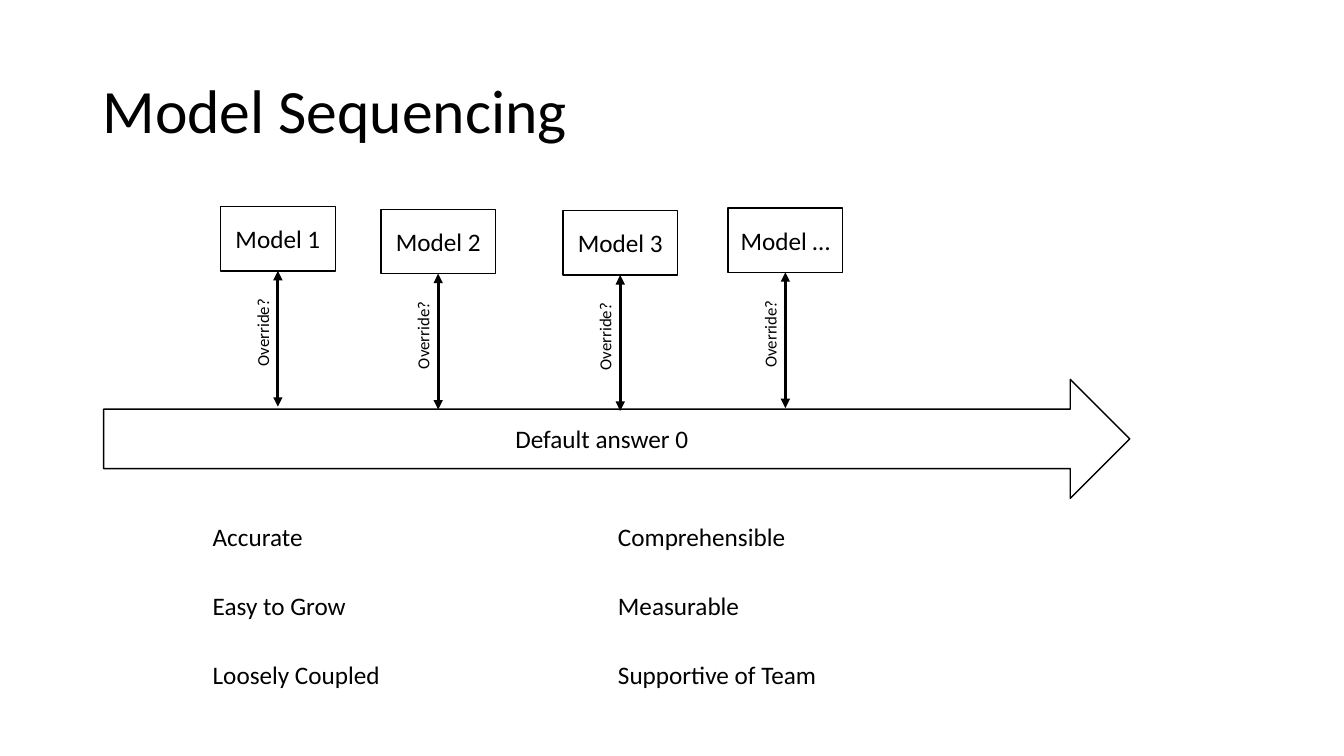
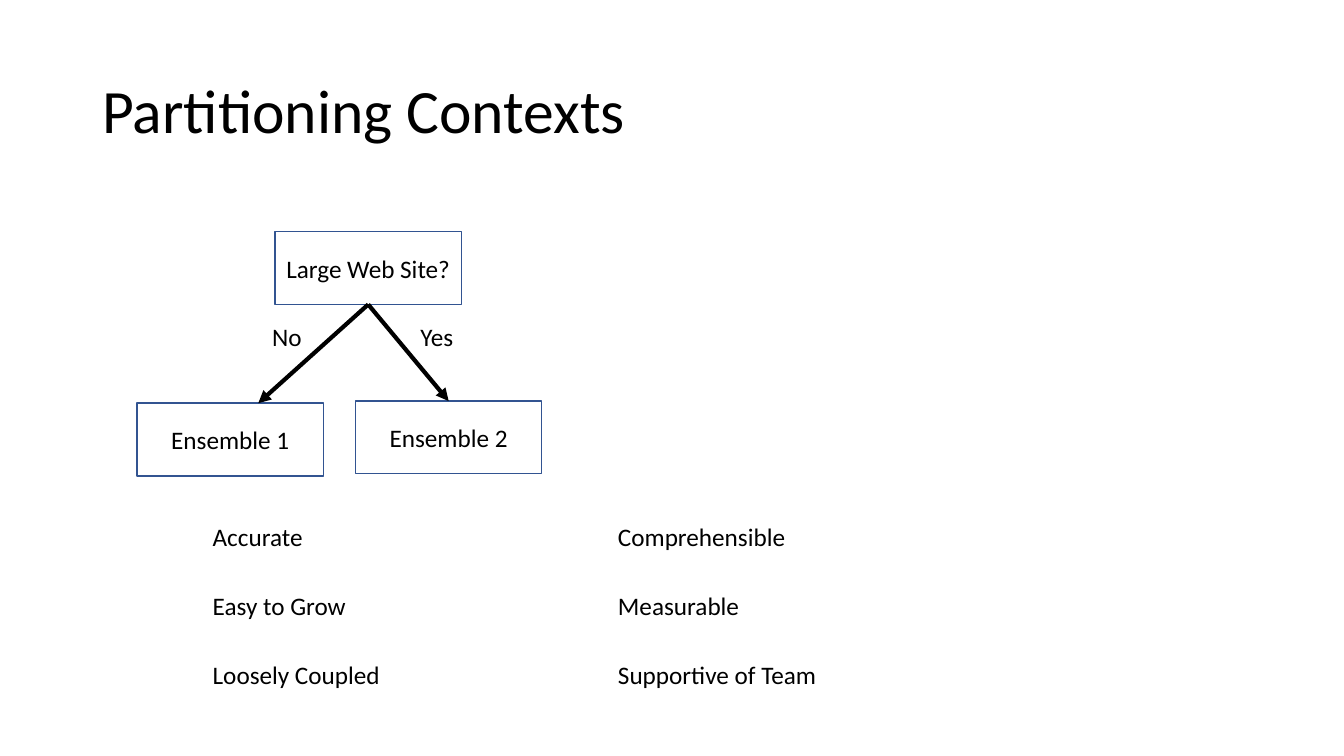
from lxml.etree import SubElement
from pptx import Presentation
from pptx.dml.color import RGBColor
from pptx.enum.shapes import MSO_CONNECTOR, MSO_SHAPE
from pptx.enum.text import MSO_ANCHOR, MSO_AUTO_SIZE, PP_ALIGN
from pptx.oxml.ns import qn
from pptx.util import Pt

# Shared style
FONT = "Calibri"
BLACK, WHITE, BLUE = "000000", "FFFFFF", "325491"
TITLE_SIZE, TEXT_SIZE, LABEL_SIZE = 44, 18, 12
TWO_CONTENT_LAYOUT = 3
TOP, BOTTOM = 0, 2

# Shared lists: placeholder index, left edge, entries
GOALS = [
    (1, 144.7, ["Accurate", "Easy to Grow", "Loosely Coupled"]),
    (2, 434.2, ["Comprehensible", "Measurable", "Supportive of Team"]),
]


def color(hex_value):
    return RGBColor.from_string(hex_value)


def place(shape, left, top, width, height):
    shape.left, shape.top = Pt(left), Pt(top)
    shape.width, shape.height = Pt(width), Pt(height)


def style(paragraph, size, align=PP_ALIGN.LEFT):
    paragraph.alignment = align
    for run in paragraph.runs:
        run.font.name = FONT
        run.font.size = Pt(size)
        run.font.color.rgb = color(BLACK)


# Placeholders
def add_title(slide, text):
    title = slide.shapes.title
    place(title, 66, 29, 828, 104)
    frame = title.text_frame
    frame.text = text
    frame.auto_size = MSO_AUTO_SIZE.NONE
    frame.vertical_anchor = MSO_ANCHOR.MIDDLE
    frame.paragraphs[0].line_spacing = 0.9
    style(frame.paragraphs[0], TITLE_SIZE)


def fill_list(placeholder, left, entries):
    place(placeholder, left, 371, 335, 150)
    frame = placeholder.text_frame
    frame.text = "\n".join(entries)
    frame.auto_size = MSO_AUTO_SIZE.NONE
    for index, paragraph in enumerate(frame.paragraphs):
        properties = paragraph._p.get_or_add_pPr()
        properties.set("marL", "0")
        properties.set("indent", "0")
        SubElement(properties, qn("a:buNone"))
        paragraph.line_spacing = 0.9
        paragraph.space_before = Pt(30 if index else 0)
        style(paragraph, TEXT_SIZE)


def add_slide(presentation, title):
    slide = presentation.slides.add_slide(
        presentation.slide_layouts[TWO_CONTENT_LAYOUT])
    add_title(slide, title)
    for index, left, entries in GOALS:
        fill_list(slide.placeholders[index], left, entries)
    return slide


# Diagram elements
def add_box(slide, text, left, top, width, height,
            line=BLACK, kind=MSO_SHAPE.RECTANGLE):
    box = slide.shapes.add_shape(kind, Pt(left), Pt(top), Pt(width), Pt(height))
    box.shadow.inherit = False
    box.fill.solid()
    box.fill.fore_color.rgb = color(WHITE)
    box.line.color.rgb = color(line)
    box.line.width = Pt(1)
    frame = box.text_frame
    frame.text = text
    frame.vertical_anchor = MSO_ANCHOR.MIDDLE
    style(frame.paragraphs[0], TEXT_SIZE, PP_ALIGN.CENTER)
    return box


def add_label(slide, text, center_x, center_y, size, rotation=0):
    width, height = 80, 30
    label = slide.shapes.add_textbox(
        Pt(center_x - width / 2), Pt(center_y - height / 2), Pt(width), Pt(height))
    label.rotation = rotation
    frame = label.text_frame
    frame.word_wrap = True
    frame.text = text
    frame.vertical_anchor = MSO_ANCHOR.MIDDLE
    style(frame.paragraphs[0], size, PP_ALIGN.CENTER)


def add_arrow(slide, start, end, width, ends=("tailEnd",)):
    arrow = slide.shapes.add_connector(
        MSO_CONNECTOR.STRAIGHT, *(Pt(value) for value in (*start, *end)))
    arrow.line.color.rgb = color(BLACK)
    arrow.line.width = Pt(width)
    for name in ends:
        SubElement(arrow.line._get_or_add_ln(), qn(f"a:{name}"), type="triangle")
    SubElement(arrow._element.spPr, qn("a:effectLst"))
    return arrow


def add_model(slide, text, left, top):
    width, height, arrow_length = 82, 46, 97
    center, bottom = left + width / 2, top + height
    box = add_box(slide, text, left, top, width, height)
    arrow = add_arrow(slide, (center, bottom + arrow_length), (center, bottom),
                      2.25, ("headEnd", "tailEnd"))
    arrow.end_connect(box, BOTTOM)
    add_label(slide, "Override?", center - 11, top + 90, LABEL_SIZE, 270)


# Slides
def build_sequencing(presentation):
    slide = add_slide(presentation, "Model Sequencing")
    add_box(slide, "Default answer 0", 74, 271, 733, 85,
            kind=MSO_SHAPE.RIGHT_ARROW)
    for text, left, top in [("Model 1", 157.5, 147.5), ("Model 2", 272, 149.5),
                            ("Model 3", 402, 150.5), ("Model …", 520, 148.5)]:
        add_model(slide, text, left, top)


def build_partitioning(presentation):
    slide = add_slide(presentation, "Partitioning Contexts")
    width, height = 133, 52
    question = add_box(slide, "Large Web Site?", 196.5, 165.5, width, height, BLUE)
    add_box(slide, "Ensemble 1", 98, 288, width, height, BLUE)
    second = add_box(slide, "Ensemble 2", 254, 286.5, width, height, BLUE)

    start = (263, 217.5)
    no_arrow = add_arrow(slide, start, (184.5, 288), 3)
    no_arrow.begin_connect(question, BOTTOM)
    yes_arrow = add_arrow(slide, start, (320.5, 286.5), 3)
    yes_arrow.begin_connect(question, BOTTOM)
    yes_arrow.end_connect(second, TOP)

    add_label(slide, "No", 205, 240.5, TEXT_SIZE)
    add_label(slide, "Yes", 312, 240.5, TEXT_SIZE)


def main():
    presentation = Presentation()
    presentation.slide_width, presentation.slide_height = Pt(960), Pt(540)
    build_sequencing(presentation)
    build_partitioning(presentation)
    presentation.save("out.pptx")


if __name__ == "__main__":
    main()
